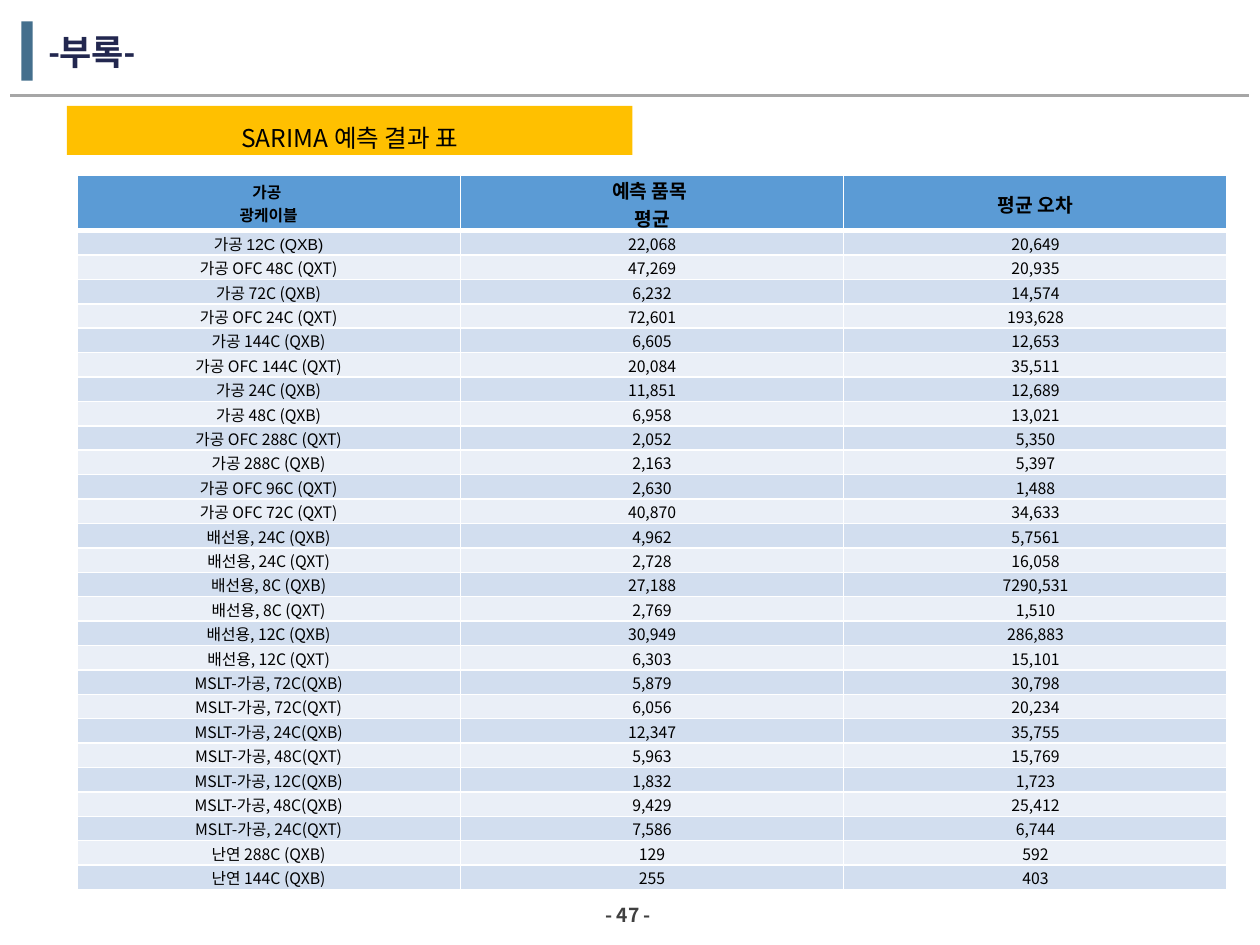
from lxml.etree import SubElement
from pptx import Presentation
from pptx.dml.color import RGBColor
from pptx.enum.shapes import MSO_CONNECTOR, MSO_SHAPE
from pptx.enum.text import MSO_ANCHOR, PP_ALIGN
from pptx.oxml import parse_xml
from pptx.oxml.ns import nsdecls, qn
from pptx.util import Inches, Pt

KR = "Noto Sans CJK KR"
TITLE = "-부록-"
BANNER = "SARIMA 예측 결과 표"
PAGE = "- 47 -"

# Header: text, size, font
HEADER = [("가공 \n광케이블", 9, "Arial"),
          ("예측 품목 \n평균", 11, "Arial"),
          ("평균 오차", 11, KR)]
ROWS = [
    ("가공 12C (QXB)", "22,068", "20,649"),
    ("가공 OFC 48C (QXT)", "47,269", "20,935"),
    ("가공 72C (QXB)", "6,232", "14,574"),
    ("가공 OFC 24C (QXT)", "72,601", "193,628"),
    ("가공 144C (QXB)", "6,605", "12,653"),
    ("가공 OFC 144C (QXT)", "20,084", "35,511"),
    ("가공 24C (QXB)", "11,851", "12,689"),
    ("가공 48C (QXB)", "6,958", "13,021"),
    ("가공 OFC 288C (QXT)", "2,052", "5,350"),
    ("가공 288C (QXB)", "2,163", "5,397"),
    ("가공 OFC 96C (QXT)", "2,630", "1,488"),
    ("가공 OFC 72C (QXT)", "40,870", "34,633"),
    ("배선용, 24C (QXB)", "4,962", "5,7561"),
    ("배선용, 24C (QXT)", "2,728", "16,058"),
    ("배선용, 8C (QXB)", "27,188", "7290,531"),
    ("배선용, 8C (QXT)", "2,769", "1,510"),
    ("배선용, 12C (QXB)", "30,949", "286,883"),
    ("배선용, 12C (QXT)", "6,303", "15,101"),
    ("MSLT-가공, 72C(QXB)", "5,879", "30,798"),
    ("MSLT-가공, 72C(QXT)", "6,056", "20,234"),
    ("MSLT-가공, 24C(QXB)", "12,347", "35,755"),
    ("MSLT-가공, 48C(QXT)", "5,963", "15,769"),
    ("MSLT-가공, 12C(QXB)", "1,832", "1,723"),
    ("MSLT-가공, 48C(QXB)", "9,429", "25,412"),
    ("MSLT-가공, 24C(QXT)", "7,586", "6,744"),
    ("난연 288C (QXB)", "129", "592"),
    ("난연 144C (QXB)", "255", "403"),
]
BANDS = ("D2DEEF", "EAEFF7")
HEADER_H, BODY_H = 0.44, 5.24


def rgb(value):
    return RGBColor.from_string(value)


def write(tf, text, size=9, font=KR, color="000000", bold=False,
          align=PP_ALIGN.CENTER, spacing=None):
    for i, line in enumerate(text.split("\n")):
        p = tf.paragraphs[0] if i == 0 else tf.add_paragraph()
        p.alignment = align
        if spacing:
            p.line_spacing = spacing
        r = p.add_run()
        r.text = line
        r.font.size, r.font.bold, r.font.name = Pt(size), bold, font
        r.font.color.rgb = rgb(color)
        SubElement(r.font._element, qn("a:ea")).set("typeface", KR)


def add_text(s, box, text, **fmt):
    tf = s.shapes.add_textbox(*map(Inches, box)).text_frame
    tf.word_wrap = True
    tf.vertical_anchor = MSO_ANCHOR.MIDDLE
    write(tf, text, **fmt)
    return tf


def add_rect(s, box, fill):
    sp = s.shapes.add_shape(MSO_SHAPE.RECTANGLE, *map(Inches, box))
    sp.shadow.inherit = False
    sp.fill.solid()
    sp.fill.fore_color.rgb = rgb(fill)
    sp.line.fill.background()
    return sp


def style_cell(cell, fill, top=1, bottom=1):
    cell.vertical_anchor = MSO_ANCHOR.MIDDLE
    cell.margin_left = cell.margin_right = cell.margin_top = Inches(0.01)
    cell.margin_bottom = 0
    cell.fill.solid()
    cell.fill.fore_color.rgb = rgb(fill)
    for i, (side, width) in enumerate(zip("LRTB", (1, 1, top, bottom))):
        cell._tc.get_or_add_tcPr().insert(i, parse_xml(
            f'<a:ln{side} {nsdecls("a")} w="{Pt(width)}"><a:solidFill>'
            f'<a:srgbClr val="FFFFFF"/></a:solidFill></a:ln{side}>'))


prs = Presentation()
prs.slide_width, prs.slide_height = Inches(10), Inches(7.5)
s = prs.slides.add_slide(prs.slide_layouts[6])

# Page number, accent bar and rule
add_text(s, (3.91, 7.14, 2.15, 0.24), PAGE, size=11, color="404040", bold=True)
add_rect(s, (0.17, 0.17, 0.09, 0.47), "446F8D")
rule = s.shapes.add_connector(MSO_CONNECTOR.STRAIGHT, Inches(9.91), Inches(0.76),
                              Inches(0.08), Inches(0.76))
rule.line.color.rgb = rgb("A6A6A6")
rule.line.width = Pt(1.5)
SubElement(rule._element.spPr, qn("a:effectLst"))

# Title
tf = add_text(s, (0.29, 0.08, 9.42, 0.65), TITLE, size=20, font="Calibri",
              color="22274F", bold=True, align=PP_ALIGN.LEFT, spacing=0.9)
tf.margin_bottom = 0

# Banner
tf = add_rect(s, (0.53, 0.84, 4.49, 0.39), "FFC000").text_frame
tf.word_wrap = False
tf.vertical_anchor = MSO_ANCHOR.MIDDLE
write(tf, BANNER, size=14, spacing=1.5)
pPr = tf.paragraphs[0]._p.get_or_add_pPr()
pPr.set("marL", str(Inches(0.19)))
pPr.set("indent", str(Inches(-0.19)))

# Forecast table
table = s.shapes.add_table(len(ROWS) + 1, len(HEADER), Inches(0.61), Inches(1.39),
                           Inches(9.13), Inches(HEADER_H + BODY_H)).table
table.rows[0].height = Inches(HEADER_H)
for c, (text, size, font) in enumerate(HEADER):
    cell = table.cell(0, c)
    style_cell(cell, "5B9BD5", bottom=3)
    write(cell.text_frame, text, size=size, font=font, bold=True)
for r, values in enumerate(ROWS, 1):
    table.rows[r].height = Inches(BODY_H / len(ROWS))
    for c, text in enumerate(values):
        cell = table.cell(r, c)
        style_cell(cell, BANDS[(r - 1) % 2], top=3 if r == 1 else 1)
        write(cell.text_frame, text, font="Arial" if (r, c) == (1, 0) else KR)

prs.save("out.pptx")
